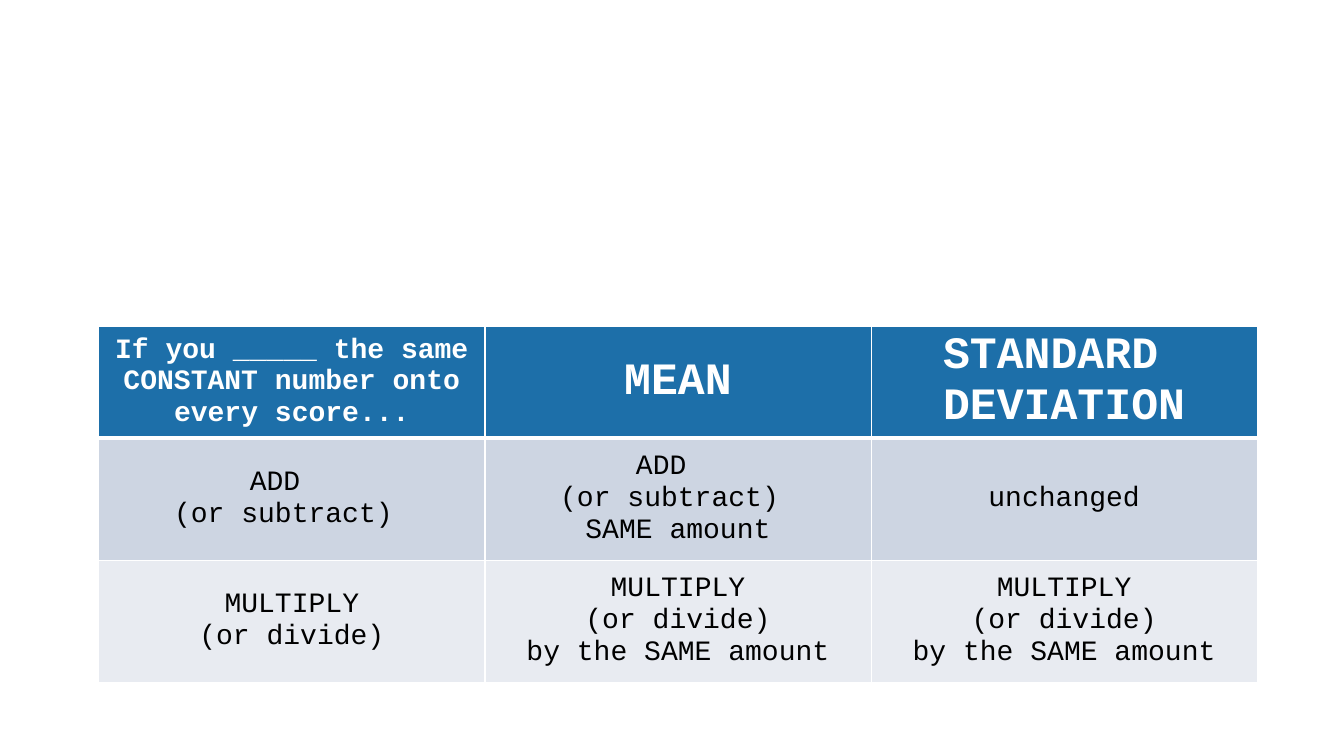
import pptx
import pptx.util
import pptx.dml.color
import pptx.enum.text
import pptx.oxml
import pptx.oxml.ns

# Content: one tuple of lines per cell; trailing spaces shift the centred lines
ROWS = [
    [("If you _____ the same CONSTANT number onto every score...",),
     ("MEAN",),
     ("STANDARD ", "DEVIATION")],
    [("ADD  ", "(or subtract) "),
     ("ADD  ", "(or subtract) ", "SAME amount"),
     ("unchanged",)],
    [("MULTIPLY", "(or divide)"),
     ("MULTIPLY", "(or divide)", "by the SAME amount"),
     ("MULTIPLY", "(or divide)", "by the SAME amount")],
]

# Style
COLORS = {"header": "1D6FA9", "band": "CDD5E2", "light": "E8EBF1",
          "border": "FFFFFF", "header_text": "FFFFFF", "body_text": "000000"}
ROW_FILLS = ["header", "band", "light"]
FONT = "Courier New"
BODY_SIZE, HEADING_SIZE = 20, 32
THIN, THICK = 1, 3

# Grid, in inches
SLIDE_WIDTH, SLIDE_HEIGHT = 13.33, 7.5
TABLE_LEFT, TABLE_TOP, TABLE_WIDTH = 0.98, 3.24, 11.49
ROW_HEIGHTS = [1.1, 1.21, 1.21]


def rgb(name):
    return pptx.dml.color.RGBColor.from_string(COLORS[name])


def set_borders(cell, widths):
    """Draw solid cell borders; widths maps a side (L, R, T, B) to points."""
    properties = cell._tc.get_or_add_tcPr()
    for position, (side, width) in enumerate(widths.items()):
        line = pptx.oxml.parse_xml(
            f'<a:ln{side} {pptx.oxml.ns.nsdecls("a")} w="{pptx.util.Pt(width)}">'
            f'<a:solidFill><a:srgbClr val="{COLORS["border"]}"/></a:solidFill>'
            f'</a:ln{side}>')
        properties.insert(position, line)


def fill_cell(cell, lines, row, column):
    is_header = row == 0
    cell.fill.solid()
    cell.fill.fore_color.rgb = rgb(ROW_FILLS[row])
    cell.vertical_anchor = pptx.enum.text.MSO_ANCHOR.MIDDLE
    cell.text_frame.text = "\n".join(lines)
    for paragraph in cell.text_frame.paragraphs:
        paragraph.alignment = pptx.enum.text.PP_ALIGN.CENTER
        for run in paragraph.runs:
            run.font.name = FONT
            run.font.size = pptx.util.Pt(
                HEADING_SIZE if is_header and column > 0 else BODY_SIZE)
            run.font.bold = is_header
            run.font.color.rgb = rgb("header_text" if is_header else "body_text")
    set_borders(cell, {"L": THIN, "R": THIN,
                       "T": THICK if row == 1 else THIN,
                       "B": THICK if is_header else THIN})


def main():
    presentation = pptx.Presentation()
    presentation.slide_width = pptx.util.Inches(SLIDE_WIDTH)
    presentation.slide_height = pptx.util.Inches(SLIDE_HEIGHT)
    slide = presentation.slides.add_slide(presentation.slide_layouts[6])

    # Table of effects on the mean and the standard deviation
    table = slide.shapes.add_table(
        len(ROWS), len(ROWS[0]),
        pptx.util.Inches(TABLE_LEFT), pptx.util.Inches(TABLE_TOP),
        pptx.util.Inches(TABLE_WIDTH), pptx.util.Inches(sum(ROW_HEIGHTS))).table
    for row, cells in enumerate(ROWS):
        table.rows[row].height = pptx.util.Inches(ROW_HEIGHTS[row])
        for column, lines in enumerate(cells):
            fill_cell(table.cell(row, column), lines, row, column)

    presentation.save("out.pptx")


if __name__ == "__main__":
    main()
